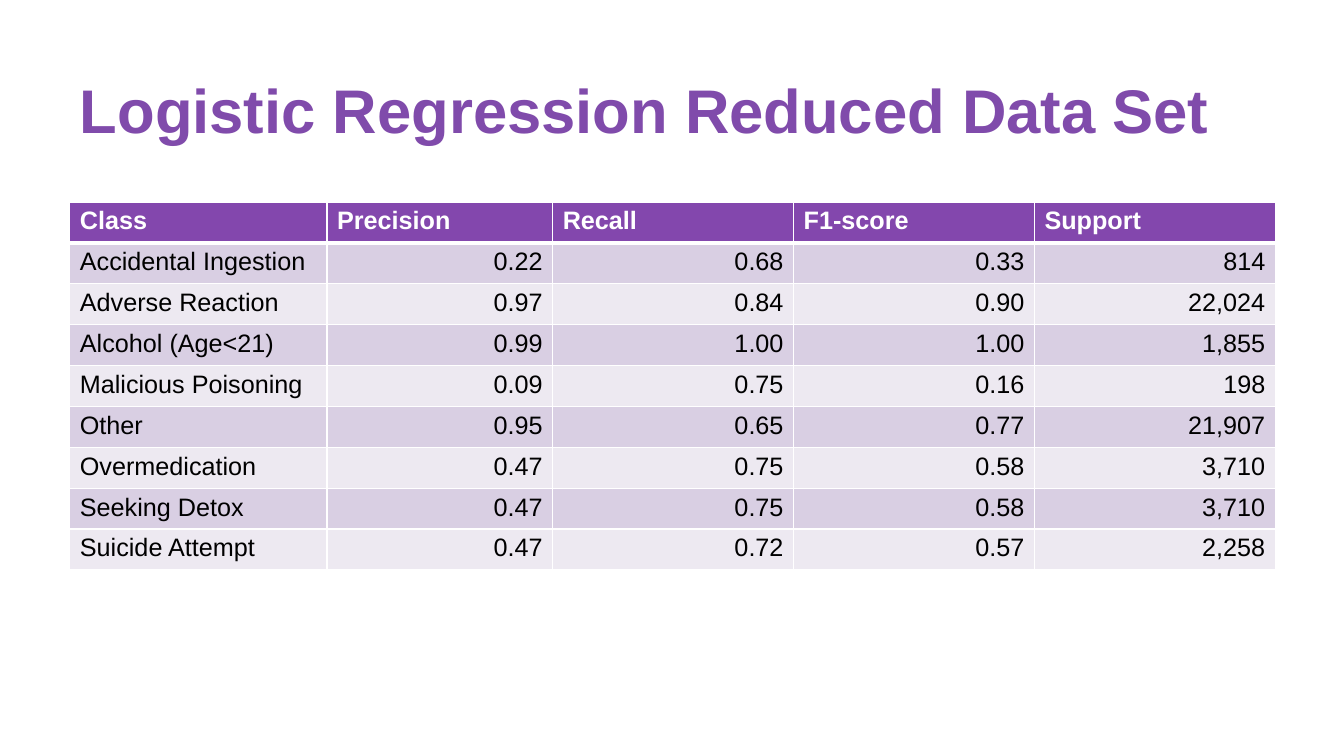
from lxml.etree import SubElement
from pptx import Presentation
from pptx.dml.color import RGBColor
from pptx.enum.text import MSO_ANCHOR, MSO_AUTO_SIZE, PP_ALIGN
from pptx.oxml.ns import qn
from pptx.util import Cm, Pt

HUES = {
    "title": "804BAB",
    "head": "8347AD",
    "odd": "D9CFE3",
    "even": "EDE9F1",
    "white": "FFFFFF",
    "black": "000000",
}
WIDTHS = [6.48, 5.69, 6.07, 6.07, 6.07]
ROWS = [
    ("Class", "Precision", "Recall", "F1-score", "Support"),
    ("Accidental Ingestion", "0.22", "0.68", "0.33", "814"),
    ("Adverse Reaction", "0.97", "0.84", "0.90", "22,024"),
    ("Alcohol (Age<21)", "0.99", "1.00", "1.00", "1,855"),
    ("Malicious Poisoning", "0.09", "0.75", "0.16", "198"),
    ("Other", "0.95", "0.65", "0.77", "21,907"),
    ("Overmedication", "0.47", "0.75", "0.58", "3,710"),
    ("Seeking Detox", "0.47", "0.75", "0.58", "3,710"),
    ("Suicide Attempt", "0.47", "0.72", "0.57", "2,258"),
]


def style(item, **values):
    for name, value in values.items():
        setattr(item, name, value)


def paint(font, hue, size, bold):
    style(font, name="Arial", size=Pt(size), bold=bold)
    font.color.rgb = RGBColor.from_string(HUES[hue])


def edge(cell, sides):
    """Draw white borders; sides maps L, R, T, B in that order to points."""
    props = cell._tc.get_or_add_tcPr()
    for side, width in sides.items():
        line = SubElement(props, qn(f"a:ln{side}"), w=str(Pt(width)))
        fill = SubElement(line, qn("a:solidFill"))
        SubElement(fill, qn("a:srgbClr"), val=HUES["white"])


def add_title(slide, text, left, top, width, height):
    title = slide.shapes.title
    style(title, left=Cm(left), top=Cm(top), width=Cm(width), height=Cm(height))
    frame = title.text_frame
    style(frame, text=text, word_wrap=True, auto_size=MSO_AUTO_SIZE.NONE,
          vertical_anchor=MSO_ANCHOR.MIDDLE)
    para = frame.paragraphs[0]
    style(para, alignment=PP_ALIGN.LEFT, line_spacing=0.9)
    paint(para.runs[0].font, "title", 44, True)


def add_scores(slide, rows, left, top, width, height):
    table = slide.shapes.add_table(len(rows), len(WIDTHS), Cm(left), Cm(top),
                                   Cm(width), Cm(height)).table
    for col, size in zip(table.columns, WIDTHS):
        col.width = Cm(size * width / sum(WIDTHS))
    for r, row in enumerate(rows):
        head = r == 0
        band = "head" if head else "odd" if r % 2 else "even"
        for c, text in enumerate(row):
            cell = table.cell(r, c)
            cell.text = text
            edge(cell, {"L": 1, "R": 1, "T": 3 if r == 1 else 1,
                        "B": 3 if head else 1})
            cell.fill.solid()
            cell.fill.fore_color.rgb = RGBColor.from_string(HUES[band])
            para = cell.text_frame.paragraphs[0]
            para.alignment = PP_ALIGN.LEFT if head or c == 0 else PP_ALIGN.RIGHT
            paint(para.runs[0].font, "white" if head else "black", 18, head)


def main():
    deck = Presentation()
    style(deck, slide_width=Cm(33.87), slide_height=Cm(19.05))
    slide = deck.slides.add_slide(deck.slide_layouts[5])
    left, width = 1.76, 30.38
    add_title(slide, "Logistic Regression Reduced Data Set", left, 1.01, width, 3.68)
    add_scores(slide, ROWS, left, 5.09, width, 9.27)
    deck.save("out.pptx")


if __name__ == "__main__":
    main()
